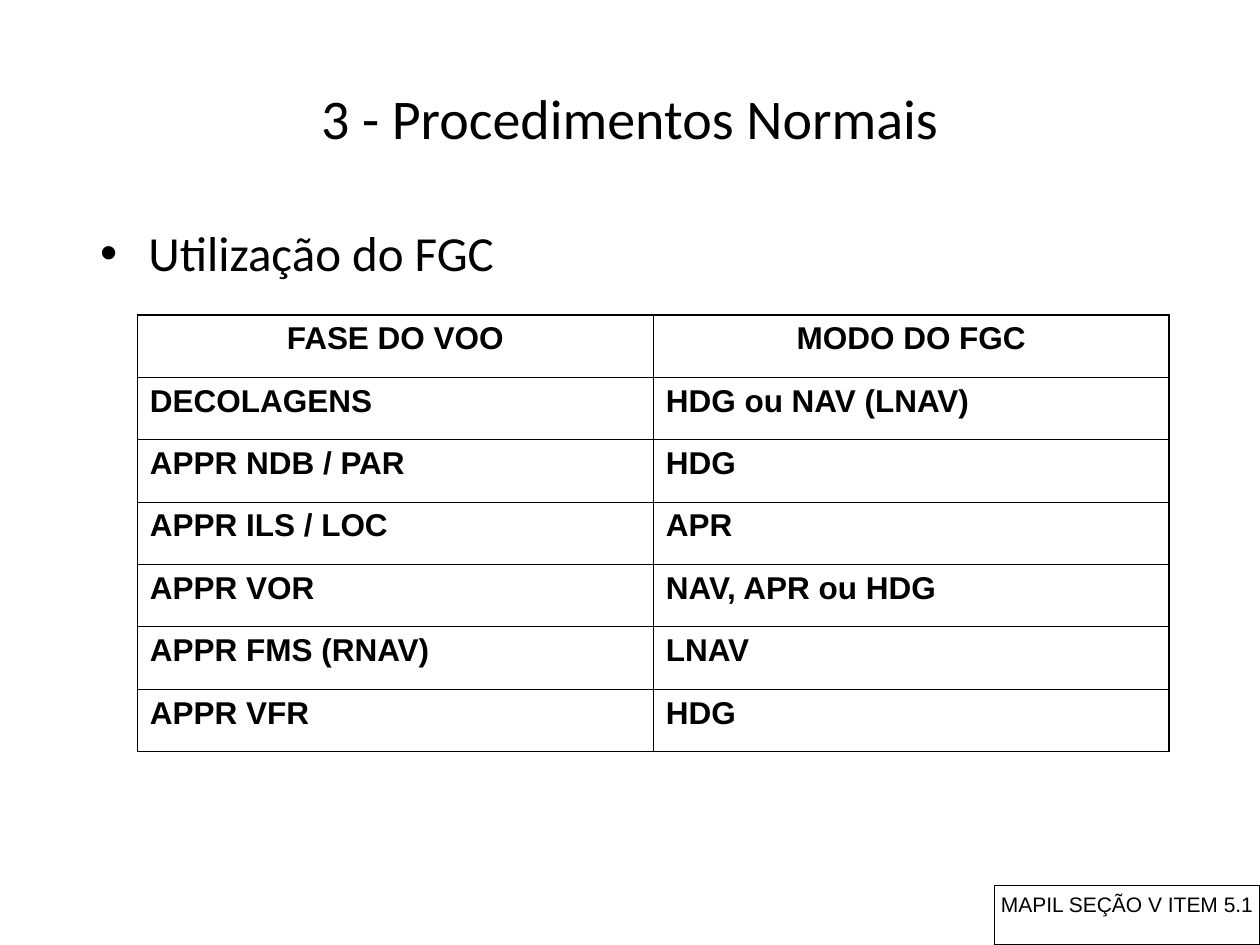
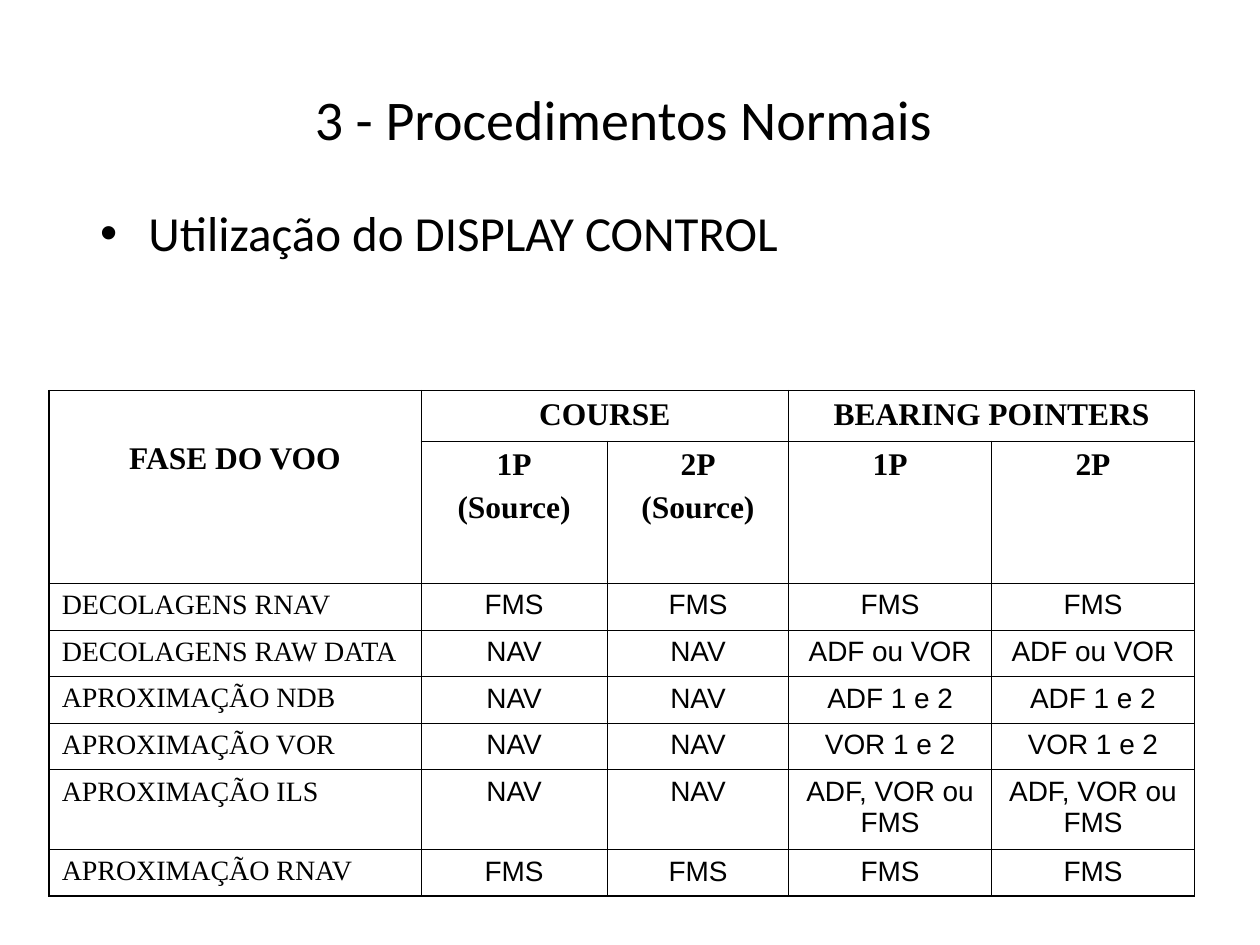
from lxml import etree
from pptx import Presentation
from pptx.dml.color import RGBColor
from pptx.enum.shapes import MSO_SHAPE as SHAPE
from pptx.enum.text import MSO_ANCHOR as ANCHOR, PP_ALIGN as ALIGN
from pptx.oxml.ns import qn
from pptx.util import Inches, Pt

BLACK = "000000"
SANS, SERIF, HEADING = "Arial", "Times New Roman", "Calibri"
TITLE = "3 - Procedimentos Normais"
OUTER, INNER = 1.08, 0.45  # table border widths in points

FGC_MODES = [
    ("FASE DO VOO", "MODO DO FGC"),
    ("DECOLAGENS", "HDG ou NAV (LNAV)"),
    ("APPR NDB / PAR", "HDG"),
    ("APPR ILS / LOC", "APR"),
    ("APPR VOR", "NAV, APR ou HDG"),
    ("APPR FMS (RNAV)", "LNAV"),
    ("APPR VFR", "HDG"),
]

# None marks a cell covered by a merged neighbour
DISPLAY_SOURCES = [
    ("FASE DO VOO", "COURSE", None, "BEARING POINTERS", None),
    (None, "1P\n(Source)", "2P\n(Source)", "1P", "2P"),
    ("DECOLAGENS RNAV", "FMS", "FMS", "FMS", "FMS"),
    ("DECOLAGENS RAW DATA", "NAV", "NAV", "ADF ou VOR", "ADF ou VOR"),
    ("APROXIMAÇÃO NDB", "NAV", "NAV", "ADF 1 e 2", "ADF 1 e 2"),
    ("APROXIMAÇÃO VOR", "NAV", "NAV", "VOR 1 e 2", "VOR 1 e 2"),
    ("APROXIMAÇÃO ILS", "NAV", "NAV", "ADF, VOR ou FMS", "ADF, VOR ou FMS"),
    ("APROXIMAÇÃO RNAV", "FMS", "FMS", "FMS", "FMS"),
]


def rgb(color):
    return RGBColor.from_string(color)


def add_run(p, text, size, font, bold=False):
    r = p.add_run()
    r.text = text
    r.font.size, r.font.name, r.font.bold = Pt(size), font, bold
    r.font.color.rgb = rgb(BLACK)


def add_title(s, box, anchor):
    sp = s.shapes.title
    sp.left, sp.top, sp.width, sp.height = map(Inches, box)
    sp.text_frame.vertical_anchor = anchor
    p = sp.text_frame.paragraphs[0]
    p.alignment = ALIGN.CENTER
    add_run(p, TITLE, 32, HEADING)


def add_bullet(s, box, text):
    tf = s.shapes.add_textbox(*map(Inches, box)).text_frame
    tf.word_wrap = True
    p = tf.paragraphs[0]
    p.alignment = ALIGN.JUSTIFY
    pPr = p._p.get_or_add_pPr()
    pPr.set("marL", str(Inches(0.38)))
    pPr.set("indent", str(-Inches(0.38)))
    etree.SubElement(pPr, qn("a:buFont"), typeface=SANS)
    etree.SubElement(pPr, qn("a:buChar"), char="•")
    add_run(p, text, 28, HEADING)


def add_reference(s, box, text):
    """Outlined box naming the manual section."""
    sp = s.shapes.add_shape(SHAPE.RECTANGLE, *map(Inches, box))
    sp.shadow.inherit = False
    sp.fill.background()
    sp.line.color.rgb = rgb(BLACK)
    sp.line.width = Pt(0.75)
    tf = sp.text_frame
    tf.word_wrap = False
    tf.vertical_anchor = ANCHOR.TOP
    p = tf.paragraphs[0]
    p.alignment = ALIGN.CENTER
    add_run(p, text, 12, SANS)


def set_borders(cell, widths):
    tcPr = cell._tc.get_or_add_tcPr()
    for side, width in widths.items():
        ln = etree.SubElement(tcPr, qn(f"a:ln{side}"), w=str(Pt(width)))
        fill = etree.SubElement(ln, qn("a:solidFill"))
        etree.SubElement(fill, qn("a:srgbClr"), val=BLACK)


def add_grid(s, left, top, cols, heights, rows):
    """Unfilled table with a heavier outer frame."""
    frame = s.shapes.add_table(len(rows), len(cols), Inches(left), Inches(top),
                               Inches(sum(cols)), Inches(sum(heights)))
    table = frame.table
    table.first_row = table.horz_banding = False
    for col, width in zip(table.columns, cols):
        col.width = Inches(width)
    for row, height in zip(table.rows, heights):
        row.height = Inches(height)
    last_row, last_col = len(rows) - 1, len(cols) - 1
    for i in range(len(rows)):
        for j in range(len(cols)):
            cell = table.cell(i, j)
            edges = {"L": j == 0, "R": j == last_col, "T": i == 0, "B": i == last_row}
            set_borders(cell, {side: OUTER if outer else INNER
                               for side, outer in edges.items()})
            cell.fill.background()
    return table


def write_cell(cell, text, size, font, bold, centered):
    tf = cell.text_frame
    for i, line in enumerate(text.split("\n")):
        p = tf.add_paragraph() if i else tf.paragraphs[0]
        if i:
            p.space_before = Pt(4.5)
        p.alignment = ALIGN.CENTER if centered else ALIGN.LEFT
        add_run(p, line, size, font, bold)


def add_fgc_table(s, left, top):
    table = add_grid(s, left, top, [4.095] * 2, [0.495] * len(FGC_MODES), FGC_MODES)
    for i, row in enumerate(FGC_MODES):
        for j, text in enumerate(row):
            write_cell(table.cell(i, j), text, 18, SANS, True, centered=i == 0)


def add_display_table(s, left, top):
    heights = [0.4, 1.13] + [0.37] * 4 + [0.63, 0.37]
    table = add_grid(s, left, top, [2.95, 1.48, 1.44, 1.61, 1.61], heights,
                     DISPLAY_SOURCES)
    phase = table.cell(0, 0)
    phase.merge(table.cell(1, 0))
    phase.margin_top = Inches(0.4)
    for j in (1, 3):
        table.cell(0, j).merge(table.cell(0, j + 1))
    for i, row in enumerate(DISPLAY_SOURCES):
        heading = i < 2
        for j, text in enumerate(row):
            if text:
                write_cell(table.cell(i, j), text, 18 if heading else 16,
                           SERIF if heading or j == 0 else SANS, heading,
                           centered=heading or j > 0)


def add_fgc_slide(prs):
    s = prs.slides.add_slide(prs.slide_layouts[5])
    add_title(s, (0.75, 0, 8.5, 1.25), ANCHOR.BOTTOM)
    add_bullet(s, (0.7, 1.72, 8.5, 4.5), "Utilização do FGC")
    add_fgc_table(s, 1.09, 2.5)
    add_reference(s, (7.89, 7.03, 2.11, 0.47), "MAPIL SEÇÃO V ITEM 5.1")


def add_display_slide(prs):
    s = prs.slides.add_slide(prs.slide_layouts[5])
    add_title(s, (0.7, 0.31, 8.5, 1.25), ANCHOR.MIDDLE)
    add_bullet(s, (0.7, 1.56, 8.82, 1.58), "Utilização do DISPLAY CONTROL")
    add_display_table(s, 0.39, 3.1)


def main():
    prs = Presentation()
    prs.slide_width, prs.slide_height = Inches(10), Inches(7.5)
    add_fgc_slide(prs)
    add_display_slide(prs)
    prs.save("out.pptx")


if __name__ == "__main__":
    main()
